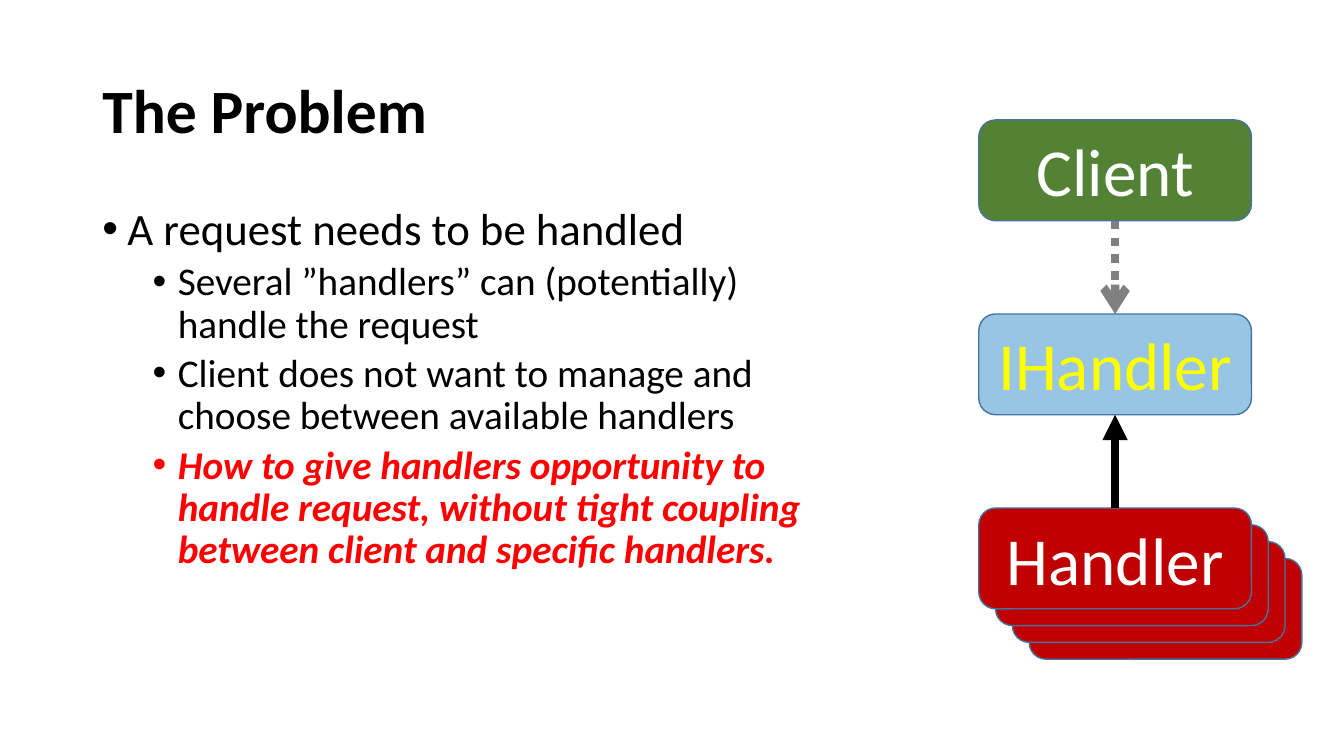
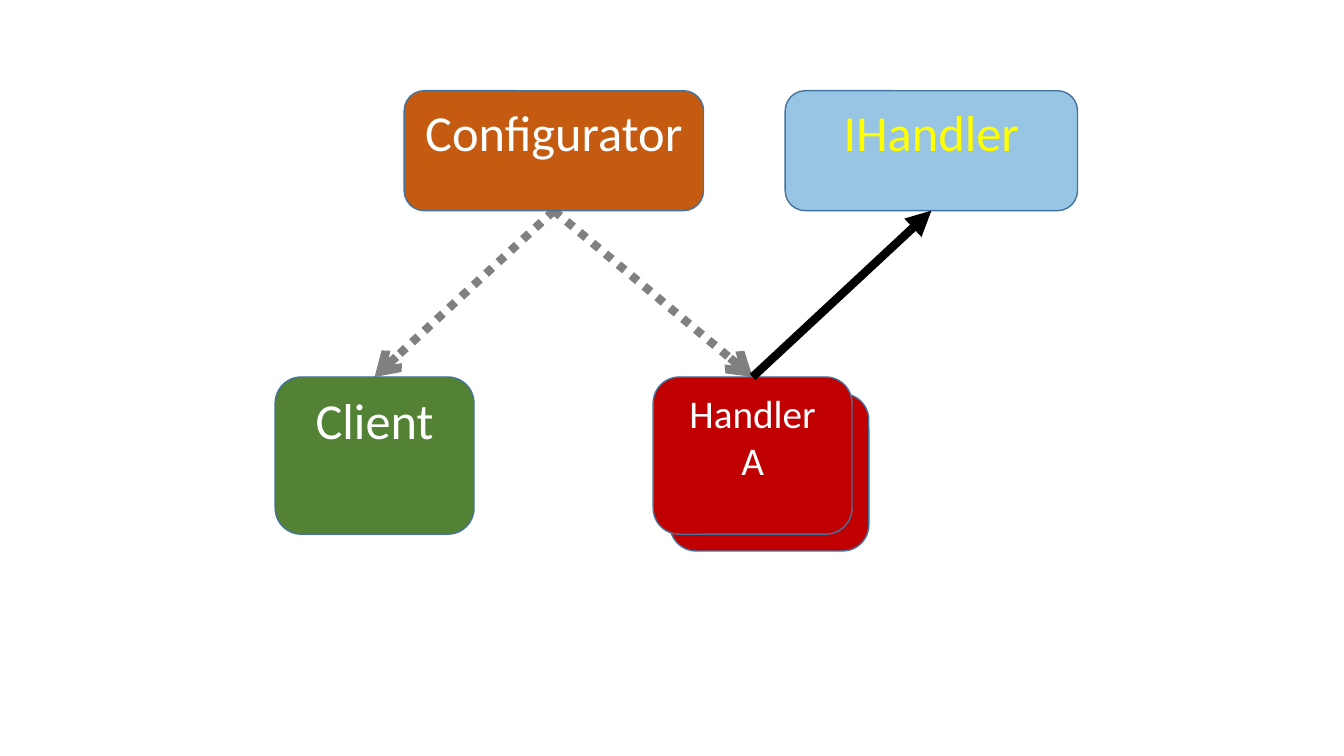
"""Build two slides on the handler problem: the request flow and its configuration."""
from lxml import etree
from pptx import Presentation
from pptx import util as u
from pptx.dml.color import RGBColor
from pptx.enum import dml, shapes, text
from pptx.oxml import ns

COLORS = {
    "black": "000000", "white": "FFFFFF", "red": "FF0000", "yellow": "FFFF00",
    "gray": "808080", "edge": "43739E", "client": "548235",
    "handler": "C00000", "interface": "0070C0", "configurator": "C55A11",
}
RGB = {name: RGBColor.from_string(value) for name, value in COLORS.items()}
FONT = "Calibri"
TOP, BOTTOM = 0, 2

prs = Presentation()
prs.slide_width, prs.slide_height = u.Inches(13.333), u.Inches(7.5)
COL, ROW = prs.slide_width / 80, prs.slide_height / 45


def add_box(s, col, row, cols, rows, fill, size=0, lines=(), color="white"):
    """Add a rounded box placed on the grid, with centred lines of text."""
    sp = s.shapes.add_shape(shapes.MSO_SHAPE.ROUNDED_RECTANGLE, int(col * COL),
                            int(row * ROW), int(cols * COL), int(rows * ROW))
    sp.shadow.inherit = False
    sp.fill.solid()
    sp.fill.fore_color.rgb = RGB[fill]
    if fill == "interface":
        tint = sp._element.spPr.find(".//" + ns.qn("a:srgbClr"))
        etree.SubElement(tint, ns.qn("a:alpha"), val="40000")
    sp.line.color.rgb = RGB["edge"]
    sp.line.width = u.Pt(1)
    tf = sp.text_frame
    tf.vertical_anchor = text.MSO_ANCHOR.TOP
    for i, line in enumerate(lines):
        p = tf.add_paragraph() if i else tf.paragraphs[0]
        p.alignment = text.PP_ALIGN.CENTER
        r = p.add_run()
        r.text = line
        r.font.name, r.font.size = FONT, u.Pt(size)
        r.font.color.rgb = RGB[color]
    return sp


def add_arrow(s, start, start_site, end, end_site, dotted=False):
    """Connect two boxes with a solid arrow, or a dotted one sent to the back."""
    c = s.shapes.add_connector(shapes.MSO_CONNECTOR.STRAIGHT, 0, 0, 0, 0)
    c.begin_connect(start, start_site)
    c.end_connect(end, end_site)
    c.line.color.rgb = RGB["gray" if dotted else "black"]
    c.line.width = u.Pt(6)
    if dotted:
        c.line.dash_style = dml.MSO_LINE.ROUND_DOT
        c._element.getparent().insert(2, c._element)
    spPr = c._element.spPr
    etree.SubElement(spPr.find(ns.qn("a:ln")), ns.qn("a:tailEnd"),
                     type="arrow" if dotted else "triangle")
    etree.SubElement(spPr, ns.qn("a:effectLst"))


s = prs.slides.add_slide(prs.slide_layouts[6])

tf = s.shapes.add_textbox(int(5.5 * COL), int(2.4 * ROW), int(69 * COL), int(8.7 * ROW)).text_frame
tf.word_wrap = True
tf.vertical_anchor = text.MSO_ANCHOR.MIDDLE
p = tf.paragraphs[0]
p.line_spacing = 0.9
r = p.add_run()
r.text = "The Problem"
r.font.name, r.font.size, r.font.bold = FONT, u.Pt(44), True
r.font.color.rgb = RGB["black"]

BULLETS = [
    (0, "A request needs to be handled", False),
    (1, "Several ”handlers” can (potentially) handle the request", False),
    (1, "Client does not want to manage and choose between available handlers", False),
    (1, "How to give handlers opportunity to handle request, without tight coupling "
        "between client and specific handlers.", True),
]
tf = s.shapes.add_textbox(int(5.5 * COL), int(12 * ROW), int(43.4 * COL), int(28.56 * ROW)).text_frame
tf.word_wrap = True
for i, (level, words, key) in enumerate(BULLETS):
    p = tf.add_paragraph() if i else tf.paragraphs[0]
    p.level = level
    p.line_spacing = 0.9
    if i:
        p.space_before = u.Pt(5)
    pPr = p._p.get_or_add_pPr()
    pPr.set("marL", str(u.Inches(0.25 + 0.5 * level)))
    pPr.set("indent", str(u.Inches(-0.25)))
    etree.SubElement(pPr, ns.qn("a:buFont"), typeface="Arial")
    etree.SubElement(pPr, ns.qn("a:buChar"), char="•")
    r = p.add_run()
    r.text = words
    r.font.name, r.font.size = FONT, u.Pt(32 - 4 * level)
    r.font.bold = r.font.italic = key
    r.font.color.rgb = RGB["red" if key else "black"]

LEFT, WIDTH, HEIGHT = 58.26, 16.23, 6
client_row, interface_row, handler_row = [7.14 + 11.55 * i for i in range(3)]
for step in (3, 2, 1):
    add_box(s, LEFT + step, handler_row + step, WIDTH, HEIGHT, "handler")
client = add_box(s, LEFT, client_row, WIDTH, HEIGHT, "client", 48, ["Client"])
handler = add_box(s, LEFT, handler_row, WIDTH, HEIGHT, "handler", 48, ["Handler"])
interface = add_box(s, LEFT, interface_row, WIDTH, HEIGHT, "interface", 48, ["IHandler"], "yellow")
add_arrow(s, handler, TOP, interface, BOTTOM)
add_arrow(s, client, BOTTOM, interface, TOP, dotted=True)

s = prs.slides.add_slide(prs.slide_layouts[6])

UPPER, UPPER_H = 5.4, 7.14
LOWER, LOWER_W, LOWER_H = 22.44, 11.84, 9.36
HANDLER_COL = 38.88
add_box(s, HANDLER_COL + 1, LOWER + 1, LOWER_W, LOWER_H, "handler")
client = add_box(s, 16.38, LOWER, LOWER_W, LOWER_H, "client", 36, ["Client"])
configurator = add_box(s, 24.06, UPPER, 17.82, UPPER_H, "configurator", 36, ["Configurator"])
handler = add_box(s, HANDLER_COL, LOWER, LOWER_W, LOWER_H, "handler", 28, ["Handler", "A"])
interface = add_box(s, 46.74, UPPER, 17.4, UPPER_H, "interface", 36, ["IHandler"], "yellow")
for target in (client, handler):
    add_arrow(s, configurator, BOTTOM, target, TOP, dotted=True)
add_arrow(s, handler, TOP, interface, BOTTOM)

prs.save("out.pptx")
